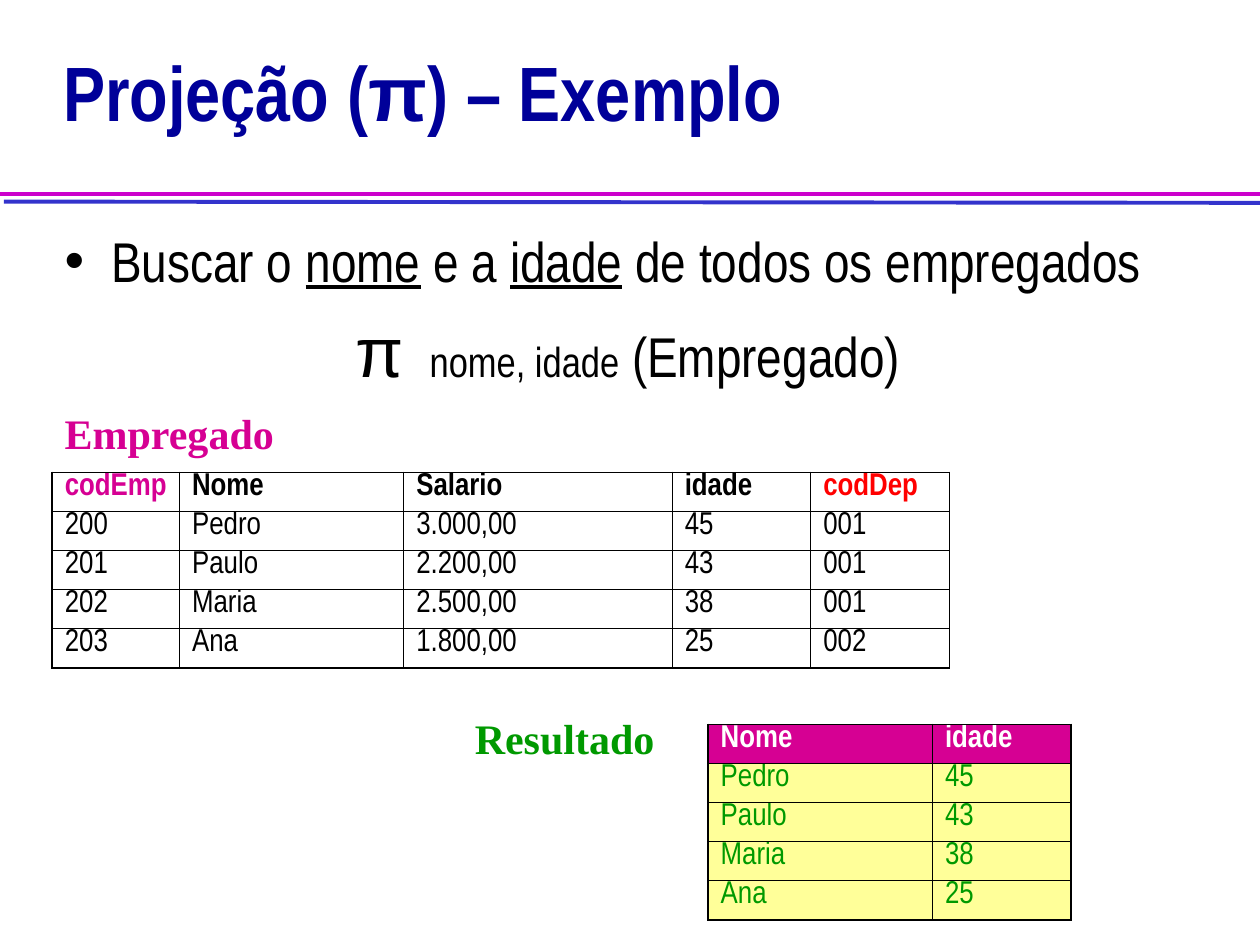
"""Builds the slide that shows a relational projection with its source and result tables."""
from dataclasses import dataclass

from lxml.etree import SubElement
from pptx import Presentation
from pptx.dml.color import RGBColor
from pptx.enum.shapes import MSO_CONNECTOR
from pptx.enum.text import MSO_ANCHOR, MSO_AUTO_SIZE, PP_ALIGN
from pptx.oxml.ns import qn
from pptx.util import Inches, Pt

COLUMNS, ROWS = 100, 75
WIDTH, HEIGHT = Inches(10), Inches(7.5)
NARROW, SANS, SERIF = "Arial Narrow", "Arial", "Times New Roman"
BLACK, WHITE, NAVY = "000000", "FFFFFF", "000099"
MAGENTA, GREEN, RED, YELLOW = "D60093", "009900", "FF0000", "FFFF99"
LEFT, EMPLOYEE_TOP, RESULT_TOP = 4.15, 37.5, 57.5
ROW_HEIGHT = 3.1
CODE, NAME, SALARY, AGE, DEPARTMENT = 10.1, 17.8, 21.3, 11, 11
OUTER, INNER = 1.08, 0.45


@dataclass
class Rule:
    """A full-width line under the title."""
    start: float
    row: float
    end_row: float
    color: str


@dataclass
class Label:
    """The name above or beside a table."""
    text: str
    column: float
    row: float
    width: float
    color: str


@dataclass
class Grid:
    """A table with its place and colours."""
    column: float
    row: float
    widths: list[float]
    rows: list[list[str]]
    header_colors: list[str]
    body_color: str
    header_fill: str | None = None
    body_fill: str | None = None


EMPLOYEES = [
    ["codEmp", "Nome", "Salario", "idade", "codDep"],
    ["200", "Pedro", "3.000,00", "45", "001"],
    ["201", "Paulo", "2.200,00", "43", "001"],
    ["202", "Maria", "2.500,00", "38", "001"],
    ["203", "Ana", "1.800,00", "25", "002"],
]
RULES = [Rule(0, 15.4, 15.4, "CC00CC"), Rule(0.3, 16, 16.1, "3333CC")]
LABELS = [
    Label("Empregado", LEFT, 33.3, 18.8, MAGENTA),
    Label("Resultado", 36.7, RESULT_TOP, 16.6, GREEN),
]
GRIDS = [
    Grid(LEFT, EMPLOYEE_TOP, [CODE, NAME, SALARY, AGE, DEPARTMENT], EMPLOYEES,
         [MAGENTA, BLACK, BLACK, BLACK, RED], BLACK),
    Grid(56.2, RESULT_TOP, [NAME, AGE], [[row[1], row[3]] for row in EMPLOYEES],
         [WHITE, WHITE], GREEN, MAGENTA, YELLOW),
]


def across(columns: float) -> int:
    """Return the length of a number of grid columns."""
    return round(WIDTH * columns / COLUMNS)


def down(rows: float) -> int:
    """Return the length of a number of grid rows."""
    return round(HEIGHT * rows / ROWS)


def rgb(color: str) -> RGBColor:
    """Turn a hex string into a colour."""
    return RGBColor.from_string(color)


def add_text(paragraph, text: str, *, size: float, font: str = NARROW, color: str = BLACK,
             bold: bool = False, underline: bool = False) -> None:
    """Add a formatted run to a paragraph."""
    run = paragraph.add_run()
    run.text = text
    run.font.size, run.font.name = Pt(size), font
    run.font.bold, run.font.underline = bold, underline
    run.font.color.rgb = rgb(color)


def add_rule(slide, rule: Rule) -> None:
    """Draw a line to the right edge of the slide."""
    line = slide.shapes.add_connector(MSO_CONNECTOR.STRAIGHT, across(rule.start), down(rule.row),
                                      across(COLUMNS), down(rule.end_row))
    line.line.color.rgb = rgb(rule.color)
    line.line.width = Pt(2.25)
    SubElement(line._element.spPr, qn("a:effectLst"))


def add_title(slide) -> None:
    """Place and fill the title placeholder."""
    title = slide.shapes.title
    title.left, title.top = across(5), down(1.1)
    title.width, title.height = across(89.9), down(13.5)
    frame = title.text_frame
    frame.margin_left = frame.margin_right = frame.margin_top = frame.margin_bottom = 0
    frame.vertical_anchor = MSO_ANCHOR.MIDDLE
    frame.word_wrap, frame.auto_size = True, MSO_AUTO_SIZE.NONE
    paragraph = frame.paragraphs[0]
    paragraph.alignment, paragraph.line_spacing = PP_ALIGN.LEFT, 0.82
    for text, font in (("Projeção (", NARROW), ("π", SANS), (") – Exemplo", NARROW)):
        add_text(paragraph, text, size=44, font=font, color=NAVY, bold=True)


def add_query(slide) -> None:
    """Add the bulleted question and its projection expression."""
    frame = slide.shapes.add_textbox(across(LEFT), down(17.5), across(91.4), down(15)).text_frame
    frame.word_wrap = True
    question, expression = frame.paragraphs[0], frame.add_paragraph()
    for paragraph in (question, expression):
        properties = paragraph._p.get_or_add_pPr()
        properties.set("marL", str(across(3.7)))
        properties.set("indent", str(-across(3.7)))
    SubElement(question._p.pPr, qn("a:buFont"), typeface=SANS)
    SubElement(question._p.pPr, qn("a:buChar"), char="•")
    for text in ("Buscar o ", "nome", " e a ", "idade", " de todos os empregados"):
        add_text(question, text, size=32, underline=text in ("nome", "idade"))
    expression.alignment, expression.space_before = PP_ALIGN.CENTER, Pt(8)
    add_text(expression, "π", size=40, font=SANS)
    add_text(expression, "  ", size=32)
    add_text(expression, "nome, idade", size=24)
    add_text(expression, " (Empregado)", size=32)


def add_label(slide, label: Label) -> None:
    """Add the name of a table."""
    frame = slide.shapes.add_textbox(across(label.column), down(label.row),
                                     across(label.width), down(3.3)).text_frame
    frame.word_wrap, frame.auto_size = False, MSO_AUTO_SIZE.SHAPE_TO_FIT_TEXT
    paragraph = frame.paragraphs[0]
    paragraph.line_spacing = 0.58
    add_text(paragraph, label.text, size=24, font=SERIF, color=label.color, bold=True)


def set_borders(cell, edges: dict[str, bool]) -> None:
    """Draw the four borders of a cell, thicker on the outer edges."""
    for side, is_outer in edges.items():
        width = Pt(OUTER if is_outer else INNER)
        border = SubElement(cell._tc.get_or_add_tcPr(), qn(f"a:ln{side}"), w=str(width))
        SubElement(SubElement(border, qn("a:solidFill")), qn("a:srgbClr"), val=BLACK)


def add_grid(slide, grid: Grid) -> None:
    """Add a table with a coloured header row."""
    row_count, column_count = len(grid.rows), len(grid.widths)
    table = slide.shapes.add_table(row_count, column_count, across(grid.column), down(grid.row),
                                   across(sum(grid.widths)), down(ROW_HEIGHT * row_count)).table
    table.horz_banding = False
    for column, width in zip(table.columns, grid.widths):
        column.width = across(width)
    for row_index, values in enumerate(grid.rows):
        table.rows[row_index].height = down(ROW_HEIGHT)
        is_header = row_index == 0
        fill = grid.header_fill if is_header else grid.body_fill
        for column_index, value in enumerate(values):
            cell = table.cell(row_index, column_index)
            set_borders(cell, {"L": column_index == 0, "R": column_index == column_count - 1,
                               "T": is_header, "B": row_index == row_count - 1})
            if fill:
                cell.fill.solid()
                cell.fill.fore_color.rgb = rgb(fill)
            else:
                cell.fill.background()
            paragraph = cell.text_frame.paragraphs[0]
            paragraph.line_spacing = 0.69
            color = grid.header_colors[column_index] if is_header else grid.body_color
            add_text(paragraph, value, size=18, color=color, bold=is_header)


def main() -> None:
    """Build and save the presentation."""
    presentation = Presentation()
    presentation.slide_width, presentation.slide_height = WIDTH, HEIGHT
    slide = presentation.slides.add_slide(presentation.slide_layouts.get_by_name("Title Only"))
    for rule in RULES:
        add_rule(slide, rule)
    add_title(slide)
    add_query(slide)
    for grid, label in zip(GRIDS, LABELS):
        add_grid(slide, grid)
        add_label(slide, label)
    presentation.save("out.pptx")


if __name__ == "__main__":
    main()
